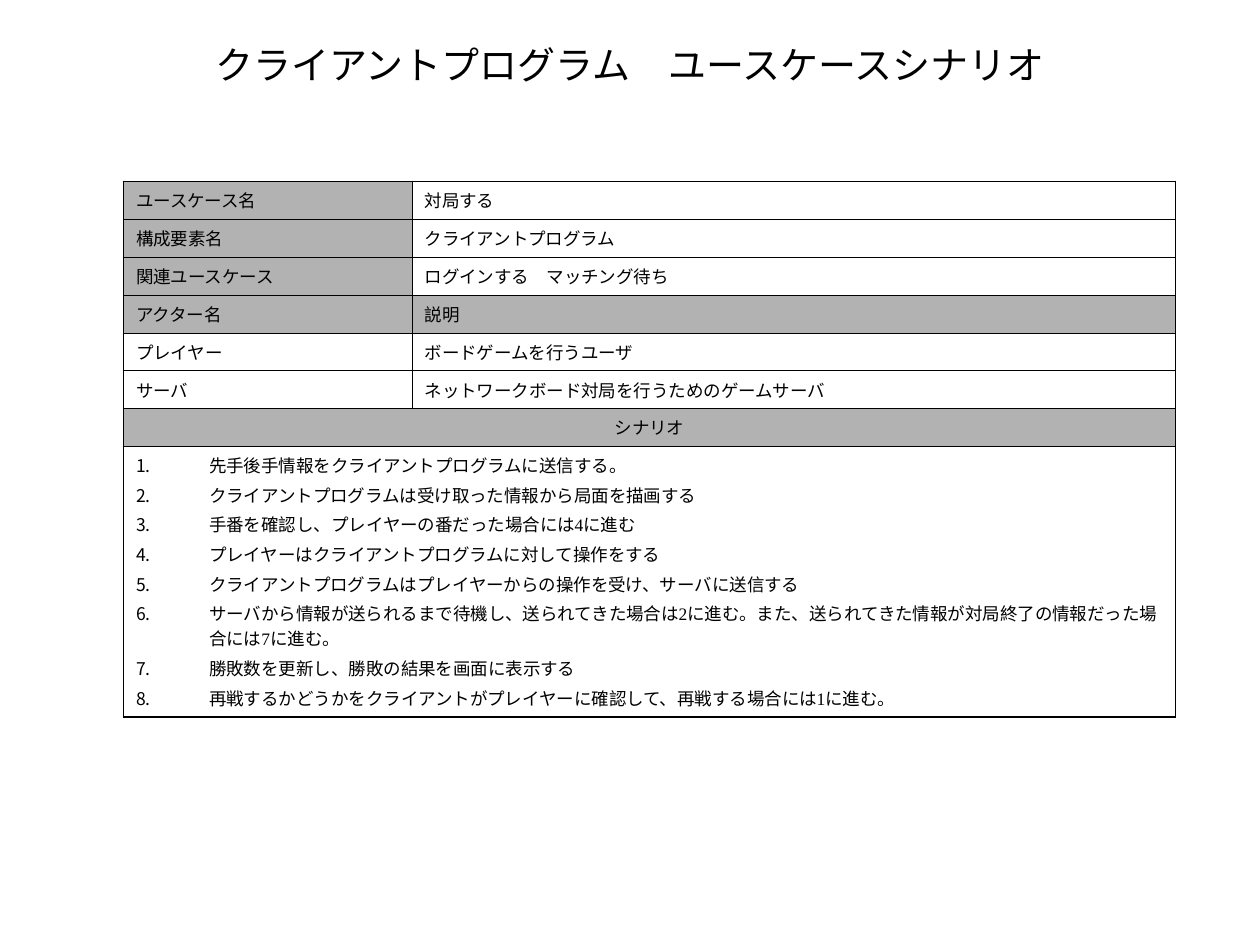
import pptx
import pptx.util
import pptx.dml.color
import pptx.enum.text
import pptx.oxml
import pptx.oxml.ns

Inches, Pt = pptx.util.Inches, pptx.util.Pt
RGBColor = pptx.dml.color.RGBColor
CENTER = pptx.enum.text.PP_ALIGN.CENTER
MIDDLE = pptx.enum.text.MSO_ANCHOR.MIDDLE

BLACK = RGBColor(0x00, 0x00, 0x00)
WHITE = RGBColor(0xFF, 0xFF, 0xFF)
GRAY = RGBColor(0xB2, 0xB2, 0xB2)
OUTER, INNER = Pt(1.08), Pt(0.45)

TITLE = "クライアントプログラム　ユースケースシナリオ"
TITLE_FONT = {"name": "Times New Roman", "size": Pt(21.7), "bold": False}
CELL_FONT = {"name": "Times New Roman", "size": Pt(10), "bold": False}

# Each row: label, value, label shaded, value shaded
FIELDS = [
    ("ユースケース名", "対局する", True, False),
    ("構成要素名", "クライアントプログラム", True, False),
    ("関連ユースケース", "ログインする　マッチング待ち", True, False),
    ("アクター名", "説明", True, True),
    ("プレイヤー", "ボードゲームを行うユーザ", False, False),
    ("サーバ", "ネットワークボード対局を行うためのゲームサーバ", False, False),
]
STEPS = [
    "先手後手情報をクライアントプログラムに送信する。",
    "クライアントプログラムは受け取った情報から局面を描画する",
    "手番を確認し、プレイヤーの番だった場合には4に進む",
    "プレイヤーはクライアントプログラムに対して操作をする",
    "クライアントプログラムはプレイヤーからの操作を受け、サーバに送信する",
    "サーバから情報が送られるまで待機し、送られてきた場合は2に進む。"
    "また、送られてきた情報が対局終了の情報だった場合には7に進む。",
    "勝敗数を更新し、勝敗の結果を画面に表示する",
    "再戦するかどうかをクライアントがプレイヤーに確認して、再戦する場合には1に進む。",
]
COL_WIDTHS = [2.29, 6.06]
ROW_HEIGHTS = [0.3] * 7 + [2.15]


def set_font(font, values):
    for key, value in values.items():
        setattr(font, key, value)
    font.color.rgb = BLACK


def add_title(s):
    sp = s.shapes.title
    box = {"left": 0.75, "top": 0.27, "width": 8.5, "height": 0.48}
    for key, value in box.items():
        setattr(sp, key, Inches(value))
    tf = sp.text_frame
    tf.vertical_anchor = MIDDLE
    tf.auto_size = pptx.enum.text.MSO_AUTO_SIZE.NONE
    p = tf.paragraphs[0]
    p.alignment = CENTER
    r = p.add_run()
    r.text = TITLE
    set_font(r.font, TITLE_FONT)


def set_borders(cell, widths):
    tcPr = cell._tc.get_or_add_tcPr()
    for side, width in zip("LRTB", widths):
        tcPr.append(pptx.oxml.parse_xml(
            f'<a:ln{side} {pptx.oxml.ns.nsdecls("a")} w="{int(width)}">'
            f'<a:solidFill><a:srgbClr val="{BLACK}"/></a:solidFill></a:ln{side}>'))


def number_paragraph(p):
    pPr = p._p.get_or_add_pPr()
    indent = int(Inches(0.58))
    pPr.set("marL", str(indent))
    pPr.set("indent", str(-indent))
    ns = pptx.oxml.ns.nsdecls("a")
    for xml in (f'<a:buClr {ns}><a:srgbClr val="{BLACK}"/></a:buClr>',
                f'<a:buAutoNum {ns} type="arabicPeriod"/>'):
        pPr.append(pptx.oxml.parse_xml(xml))


def fill_cell(cell, lines, color, borders, align=None, numbered=False):
    set_borders(cell, borders)
    cell.fill.solid()
    cell.fill.fore_color.rgb = color
    tf = cell.text_frame
    for i, line in enumerate(lines):
        p = tf.add_paragraph() if i else tf.paragraphs[0]
        if numbered:
            number_paragraph(p)
        if i:
            p.space_before = Pt(2.5)
        p.alignment = align
        r = p.add_run()
        r.text = line
        set_font(r.font, CELL_FONT)


def add_scenario_table(s):
    frame = s.shapes.add_table(
        len(ROW_HEIGHTS), len(COL_WIDTHS), Inches(0.98), Inches(1.44),
        Inches(sum(COL_WIDTHS)), Inches(sum(ROW_HEIGHTS)))
    table = frame.table
    table.first_row = table.horz_banding = False
    for col, width in zip(table.columns, COL_WIDTHS):
        col.width = Inches(width)
    for row, height in zip(table.rows, ROW_HEIGHTS):
        row.height = Inches(height)

    # Use case fields and actors
    for i, (label, value, label_shaded, value_shaded) in enumerate(FIELDS):
        top = INNER if i else OUTER
        fill_cell(table.cell(i, 0), [label], GRAY if label_shaded else WHITE,
                  (OUTER, INNER, top, INNER))
        fill_cell(table.cell(i, 1), [value], GRAY if value_shaded else WHITE,
                  (INNER, OUTER, top, INNER))

    # Scenario heading and numbered steps across both columns
    heading, steps = len(FIELDS), len(FIELDS) + 1
    for i in (heading, steps):
        table.cell(i, 0).merge(table.cell(i, 1))
    fill_cell(table.cell(heading, 0), ["シナリオ"], GRAY,
              (OUTER, OUTER, INNER, INNER), align=CENTER)
    fill_cell(table.cell(steps, 0), STEPS, WHITE,
              (OUTER, OUTER, INNER, OUTER), numbered=True)


def main():
    prs = pptx.Presentation()
    prs.slide_width, prs.slide_height = Inches(10), Inches(7.5)
    s = prs.slides.add_slide(prs.slide_layouts[5])
    add_scenario_table(s)
    add_title(s)
    prs.save("out.pptx")


if __name__ == "__main__":
    main()
